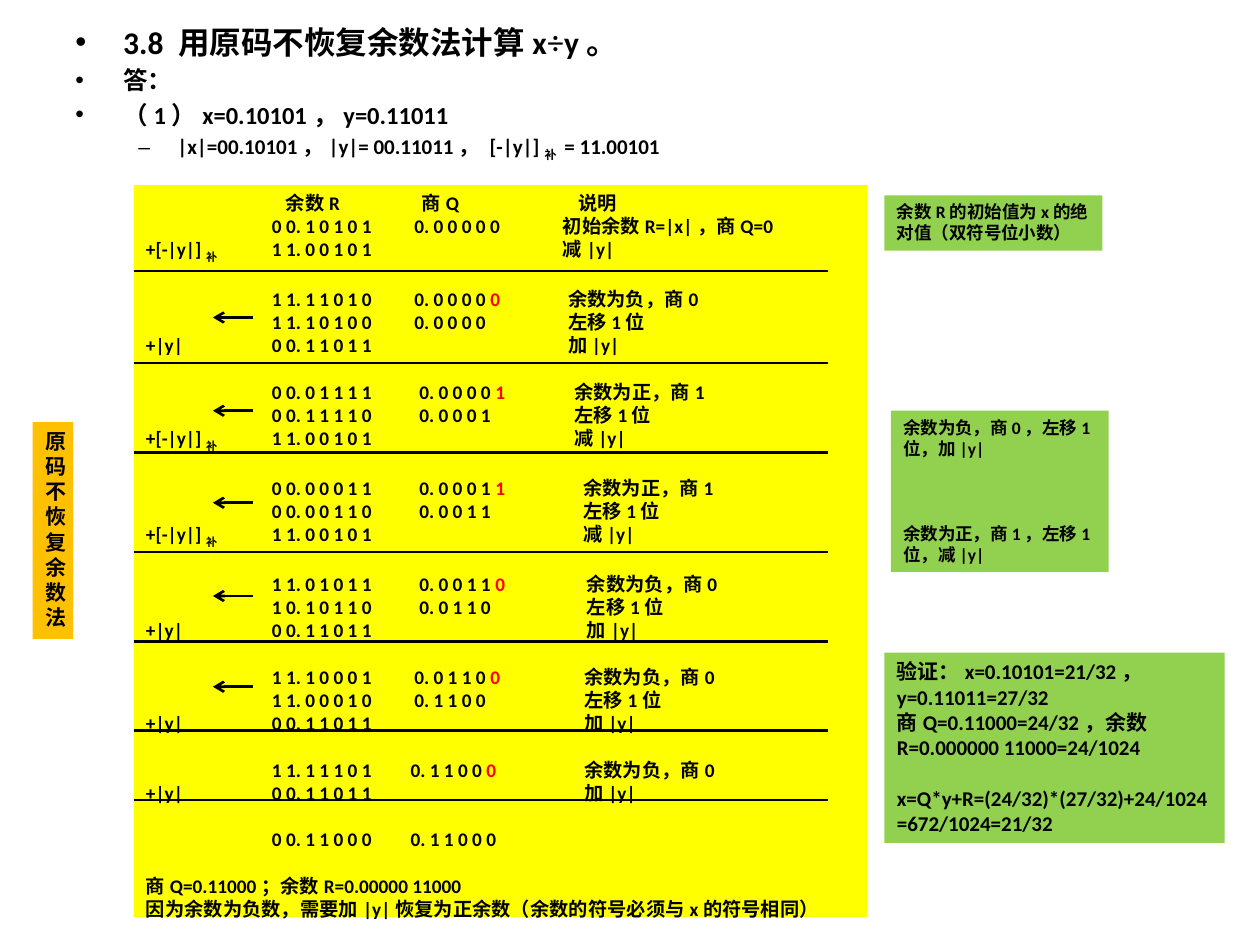
from dataclasses import dataclass
from typing import NamedTuple

import lxml.etree
import pptx
import pptx.dml.color
import pptx.enum.shapes
import pptx.enum.text
import pptx.oxml.ns
import pptx.util

Inches = pptx.util.Inches
Pt = pptx.util.Pt
qn = pptx.oxml.ns.qn

COLORS = {
    "text": "000000",
    "new_digit": "FF0000",
    "table": "FFFF00",
    "note": "92D050",
    "label": "FFC000",
}


class Piece(NamedTuple):
    text: str
    color: str = "text"
    subscript: bool = False
    font: str = "Calibri"


class Row(NamedTuple):
    label: str = ""
    remainder: str = ""
    quotient: str = ""
    new_digit: str = ""
    note: str = ""


@dataclass
class Step:
    tabs: tuple[float, float, float]
    rows: list[Row]
    gap: float = 13.4


@dataclass
class Note:
    box: tuple[float, float, float, float]
    fill: str
    size: float
    paragraphs: list[str]
    gap: float = 0
    centered: bool = False


def rgb(name: str) -> pptx.dml.color.RGBColor:
    return pptx.dml.color.RGBColor.from_string(COLORS[name])


def add_pieces(paragraph, pieces: list[Piece], size: float) -> None:
    for piece in pieces:
        run = paragraph.add_run()
        run.text = piece.text
        run.font.size = Pt(size)
        run.font.bold = True
        run.font.name = piece.font
        run.font.color.rgb = rgb(piece.color)
        if piece.subscript:
            run.font._element.set("baseline", "-25000")


def next_paragraph(frame, first: bool, gap: float):
    if first:
        return frame.paragraphs[0]
    paragraph = frame.add_paragraph()
    paragraph.space_before = Pt(gap)
    return paragraph


def add_box(slide, box: tuple[float, float, float, float], fill: str):
    shape = slide.shapes.add_shape(
        pptx.enum.shapes.MSO_SHAPE.RECTANGLE, *map(Inches, box))
    shape.shadow.inherit = False
    shape.fill.solid()
    shape.fill.fore_color.rgb = rgb(fill)
    shape.line.fill.background()
    shape.text_frame.word_wrap = True
    shape.text_frame.vertical_anchor = pptx.enum.text.MSO_ANCHOR.TOP
    return shape


def add_note(slide, note: Note) -> None:
    frame = add_box(slide, note.box, note.fill).text_frame
    align = pptx.enum.text.PP_ALIGN
    for index, text in enumerate(note.paragraphs):
        paragraph = next_paragraph(frame, index == 0, note.gap if index == len(note.paragraphs) - 1 else 0)
        paragraph.alignment = align.CENTER if note.centered else align.LEFT
        add_pieces(paragraph, [Piece(text)], note.size)


def set_tabs(paragraph, positions: tuple[float, ...]) -> None:
    tab_list = lxml.etree.SubElement(paragraph._p.get_or_add_pPr(), qn("a:tabLst"))
    for position in positions:
        lxml.etree.SubElement(tab_list, qn("a:tab"), pos=str(Inches(position)), algn="l")


def row_pieces(row: Row) -> list[Piece]:
    label, mark, _ = row.label.partition("补")
    columns = f"\t{row.remainder}"
    if row.quotient or row.note:
        columns += f"\t{row.quotient}"
    note = f"\t{row.note}" if row.note else ""
    pieces = [Piece(label), Piece(mark, subscript=True), Piece(columns),
              Piece(row.new_digit, "new_digit"), Piece(note)]
    return [piece for piece in pieces if piece.text]


def add_line(slide, start: float, end: float, y: float, arrow: bool = False) -> None:
    line = slide.shapes.add_connector(
        pptx.enum.shapes.MSO_CONNECTOR.STRAIGHT,
        Inches(start), Inches(y), Inches(end), Inches(y))
    line.line.color.rgb = rgb("text")
    line.line.width = Pt(1.5)
    if arrow:
        lxml.etree.SubElement(line.line._get_or_add_ln(), qn("a:tailEnd"), type="arrow")
    lxml.etree.SubElement(line._element.spPr, qn("a:effectLst"))


def add_heading(slide) -> None:
    box = slide.shapes.add_textbox(Inches(0.5), Inches(0.13), Inches(9), Inches(4.95))
    box.text_frame.word_wrap = True
    for index, (size, margin, indent, bullet, pieces) in enumerate(HEADING):
        paragraph = next_paragraph(box.text_frame, index == 0, size * 0.2)
        properties = paragraph._p.get_or_add_pPr()
        properties.set("marL", str(Inches(margin)))
        properties.set("indent", str(Inches(-indent)))
        lxml.etree.SubElement(properties, qn("a:buFont"), typeface="Arial")
        lxml.etree.SubElement(properties, qn("a:buChar"), char=bullet)
        add_pieces(paragraph, pieces, size)


def add_division(slide) -> None:
    frame = add_box(slide, (1.06, 1.47, 5.82, 5.81), "table").text_frame
    first = True
    for step in STEPS:
        for index, row in enumerate(step.rows):
            paragraph = next_paragraph(frame, first, step.gap if index == 0 else 0)
            paragraph.alignment = pptx.enum.text.PP_ALIGN.LEFT
            set_tabs(paragraph, step.tabs)
            add_pieces(paragraph, row_pieces(row), 11)
            first = False
    for index, text in enumerate(CONCLUSION):
        paragraph = next_paragraph(frame, False, 13.4 if index == 0 else 0)
        paragraph.alignment = pptx.enum.text.PP_ALIGN.LEFT
        add_pieces(paragraph, [Piece(text)], 11)


# Heading: size, margin, hanging indent, bullet, text
HEADING = [
    (18, 0.38, 0.38, "•", [Piece("3.8 用原码不恢复余数法计算x"),
                           Piece("÷", font="Times New Roman"), Piece("y。")]),
    (14, 0.38, 0.38, "•", [Piece("答：")]),
    (14, 0.38, 0.38, "•", [Piece("（1）x=0.10101，y=0.11011")]),
    (12, 0.81, 0.31, "–", [Piece("|x|=00.10101，|y|= 00.11011， [-|y|]"),
                           Piece("补 ", subscript=True), Piece("= 11.00101")]),
]

# Division steps, with the tab stops of remainder, quotient and remark
SUBTRACT = Row("+[-|y|]补", "1 1. 0 0 1 0 1", note="减|y|")
ADD = Row("+|y|", "0 0. 1 1 0 1 1", note="加|y|")
NEGATIVE, POSITIVE, SHIFT = "余数为负，商0", "余数为正，商1", "左移1位"
STEPS = [
    Step((1.11, 2.19, 3.43), [Row("", "余数R", "商Q", "", "说明")]),
    Step((1, 2.13, 3.31), [Row("", "0 0. 1 0 1 0 1", "0. 0 0 0 0 0", "", "初始余数R=|x|，商Q=0"),
                           SUBTRACT], gap=0),
    Step((1, 2.13, 3.35), [Row("", "1 1. 1 1 0 1 0", "0. 0 0 0 0 ", "0", NEGATIVE),
                           Row("", "1 1. 1 0 1 0 0", "0. 0 0 0 0", "", SHIFT), ADD]),
    Step((1, 2.17, 3.4), [Row("", "0 0. 0 1 1 1 1", "0. 0 0 0 0 ", "1", POSITIVE),
                          Row("", "0 0. 1 1 1 1 0", "0. 0 0 0 1", "", SHIFT), SUBTRACT]),
    Step((1, 2.17, 3.47), [Row("", "0 0. 0 0 0 1 1", "0. 0 0 0 1 ", "1", POSITIVE),
                           Row("", "0 0. 0 0 1 1 0", "0. 0 0 1 1", "", SHIFT), SUBTRACT]),
    Step((1, 2.17, 3.5), [Row("", "1 1. 0 1 0 1 1", "0. 0 0 1 1 ", "0", NEGATIVE),
                          Row("", "1 0. 1 0 1 1 0", "0. 0 1 1 0", "", SHIFT), ADD]),
    Step((1, 2.13, 3.48), [Row("", "1 1. 1 0 0 0 1", "0. 0 1 1 0 ", "0", NEGATIVE),
                           Row("", "1 1. 0 0 0 1 0", "0. 1 1 0 0", "", SHIFT), ADD]),
    Step((1, 2.1, 3.48), [Row("", "1 1. 1 1 1 0 1", "0. 1 1 0 0 ", "0", NEGATIVE), ADD]),
    Step((1, 2.1, 3.48), [Row("", "0 0. 1 1 0 0 0", "0. 1 1 0 0 0")]),
]
CONCLUSION = ["商Q=0.11000；余数R=0.00000 11000",
              "因为余数为负数，需要加|y|恢复为正余数（余数的符号必须与x的符号相同）"]
RULE_HEIGHTS = [2.15, 2.88, 3.59, 4.38, 5.09, 5.8, 6.35]
ARROW_HEIGHTS = [2.52, 3.26, 3.99, 4.73, 5.45]

# Side notes
NOTES = [
    Note((7.02, 1.55, 1.73, 0.44), "note", 10, ["余数R的初始值为x的绝对值（双符号位小数）"]),
    Note((7.07, 3.26, 1.73, 1.28), "note", 10,
         ["余数为负，商0，左移1位，加|y|", "余数为正，商1，左移1位，减|y|"], gap=36.6),
    Note((0.26, 3.35, 0.32, 1.72), "label", 12, ["原码不恢复余数法"], centered=True),
    Note((7.02, 5.18, 2.7, 1.51), "note", 12,
         ["验证：x=0.10101=21/32，y=0.11011=27/32",
          "商Q=0.11000=24/32，余数R=0.000000 11000=24/1024",
          "x=Q*y+R=(24/32)*(27/32)+24/1024=672/1024=21/32"], gap=14.6),
]


def main() -> None:
    presentation = pptx.Presentation()
    presentation.slide_width, presentation.slide_height = Inches(10), Inches(7.5)
    slide = presentation.slides.add_slide(presentation.slide_layouts[6])
    add_heading(slide)
    add_division(slide)
    for y in RULE_HEIGHTS:
        add_line(slide, 1.06, 6.57, y)
    for y in ARROW_HEIGHTS:
        add_line(slide, 2.01, 1.69, y, arrow=True)
    for note in NOTES:
        add_note(slide, note)
    presentation.save("out.pptx")


if __name__ == "__main__":
    main()
